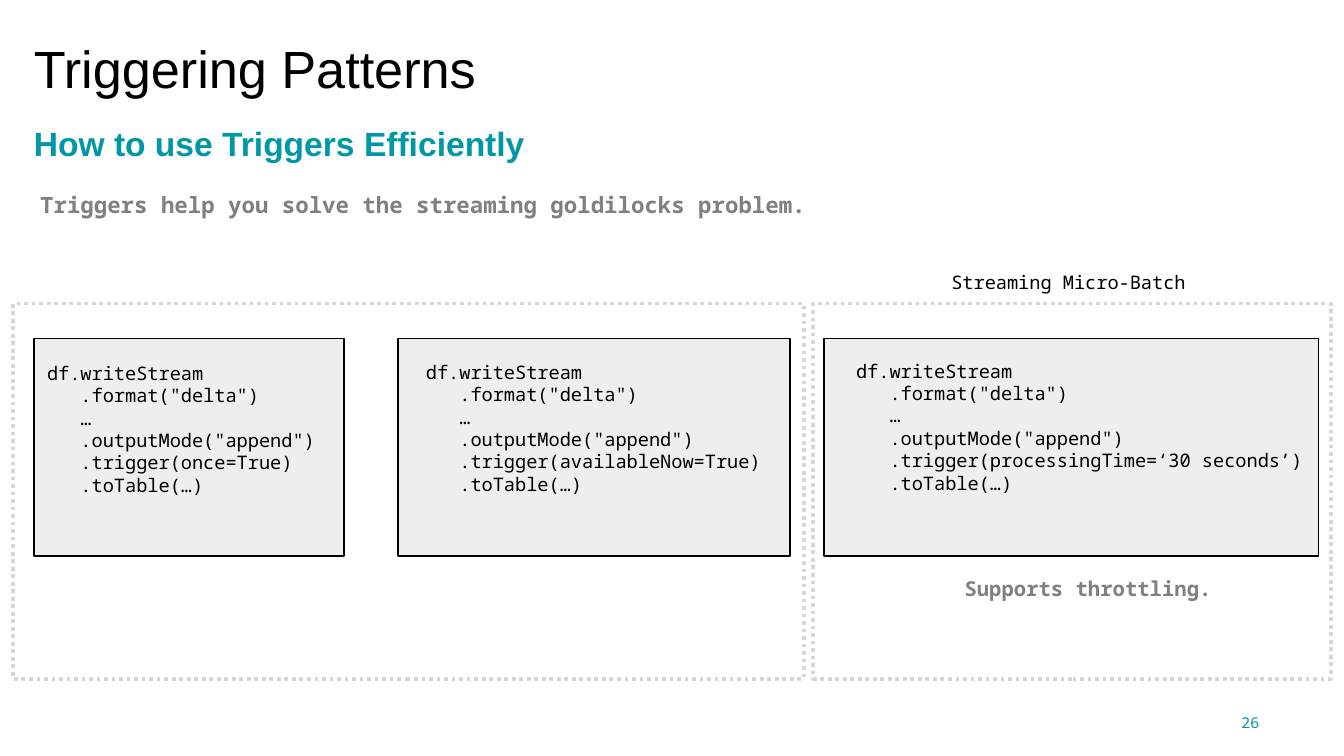
from pptx import Presentation
from pptx.dml.color import RGBColor
from pptx.enum import dml, shapes, text
from pptx.util import Cm, Pt

THEME = {
    "sans": "Arial", "mono": "Noto Sans Mono",
    "black": RGBColor(0x00, 0x00, 0x00), "teal": RGBColor(0x00, 0x97, 0xA7),
    "grey": RGBColor(0x80, 0x80, 0x80), "panel": RGBColor(0xEE, 0xEE, 0xEE),
    "dots": RGBColor(0xD6, 0xD6, 0xD6),
    "title": Pt(28), "subtitle": Pt(18), "lead": Pt(12), "note": Pt(11),
    "code": Pt(10), "number": Pt(8), "border": Pt(1), "frame": Pt(2),
}


def write(sp, box, lines, size, color, font="mono", bold=False, inset=None,
          align=text.PP_ALIGN.LEFT, anchor=text.MSO_ANCHOR.TOP, spacing=1.0):
    for name, value in zip(("left", "top", "width", "height"), box):
        setattr(sp, name, Cm(value))
    tf = sp.text_frame
    frame = {"word_wrap": True, "auto_size": text.MSO_AUTO_SIZE.NONE, "vertical_anchor": anchor}
    if inset is not None:
        frame.update({f"margin_{side}": Cm(inset) for side in ("left", "top", "right", "bottom")})
    for name, value in frame.items():
        setattr(tf, name, value)
    for i, line in enumerate(lines):
        p = tf.paragraphs[0] if i == 0 else tf.add_paragraph()
        for name, value in {"alignment": align, "line_spacing": spacing, "space_before": Pt(0)}.items():
            setattr(p, name, value)
        r = p.add_run()
        r.text = line
        for name, value in {"name": THEME[font], "size": THEME[size], "bold": bold}.items():
            setattr(r.font, name, value)
        r.font.color.rgb = THEME[color]


def rectangle(s, box, color, width):
    sp = s.shapes.add_shape(shapes.MSO_SHAPE.RECTANGLE, *map(Cm, box))
    sp.shadow.inherit = False
    sp.line.color.rgb = THEME[color]
    sp.line.width = THEME[width]
    return sp


prs = Presentation()
prs.slide_width, prs.slide_height = Cm(25.4), Cm(14.29)
s = prs.slides.add_slide(prs.slide_layouts[0])

write(s.shapes.title, (0.64, 0.64, 21.89, 1.27), ["Triggering Patterns"], "title", "black",
      font="sans", inset=0, anchor=text.MSO_ANCHOR.MIDDLE)
write(s.placeholders[1], (0.64, 2.21, 24.13, 0.89), ["How to use Triggers Efficiently"],
      "subtitle", "teal", font="sans", bold=True, inset=0, spacing=1.15)

panels = [
    (0.64, 5.87, 0.64, 6.71, 5.87, "once=True"),
    (7.52, 7.42, 7.8, 6.69, 7.14, "availableNow=True"),
    (15.57, 9.35, 15.93, 6.67, 9.0, "processingTime=‘30 seconds’"),
]
for left, width, code_left, code_top, code_width, trigger in panels:
    sp = rectangle(s, (left, 6.4, width, 4.11), "black", "border")
    sp.fill.solid()
    sp.fill.fore_color.rgb = THEME["panel"]
    code = ["df.writeStream", '   .format("delta")', "   …", '   .outputMode("append")',
            f"   .trigger({trigger})", "   .toTable(…)"]
    write(s.shapes.add_textbox(0, 0, 0, 0), (code_left, code_top, code_width, 2.82),
          code, "code", "black")

for left, width in ((0.25, 14.94), (15.37, 9.78)):
    sp = rectangle(s, (left, 5.74, width, 7.09), "dots", "frame")
    sp.fill.background()
    sp.line.dash_style = dml.MSO_LINE.ROUND_DOT

labels = [
    ((0.51, 3.48, 17.88, 0.76), "Triggers help you solve the streaming goldilocks problem.", "lead", "grey", True),
    ((17.73, 5.0, 5.74, 0.69), "Streaming Micro-Batch", "code", "black", False),
    ((17.98, 10.77, 6.55, 0.74), "Supports throttling.", "note", "grey", True),
]
for box, label, size, color, bold in labels:
    write(s.shapes.add_textbox(0, 0, 0, 0), box, [label], size, color, bold=bold)

write(s.shapes.add_textbox(0, 0, 0, 0), (23.11, 13.49, 0.69, 0.38), ["26"], "number", "teal",
      inset=0, align=text.PP_ALIGN.RIGHT)

prs.save("out.pptx")
